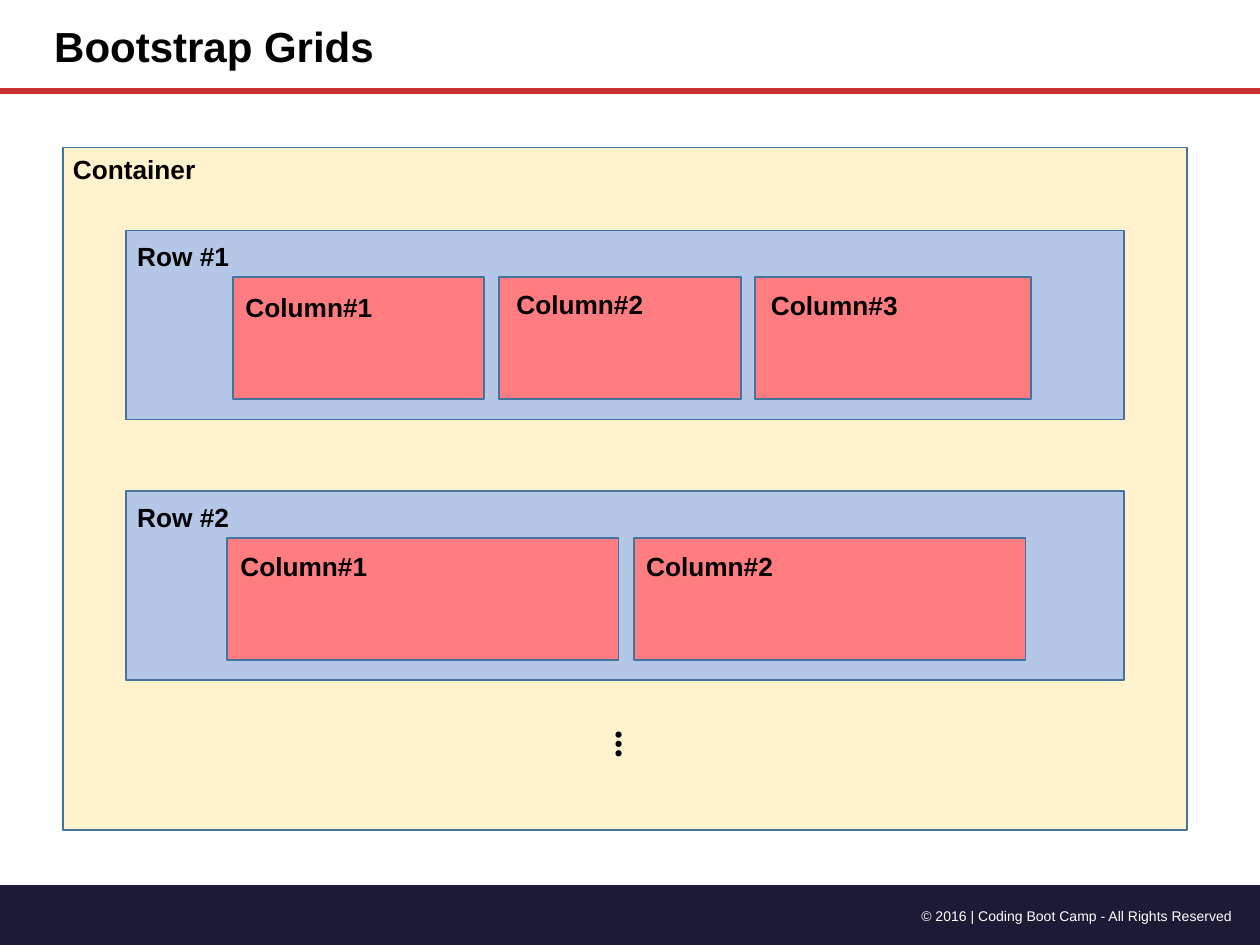
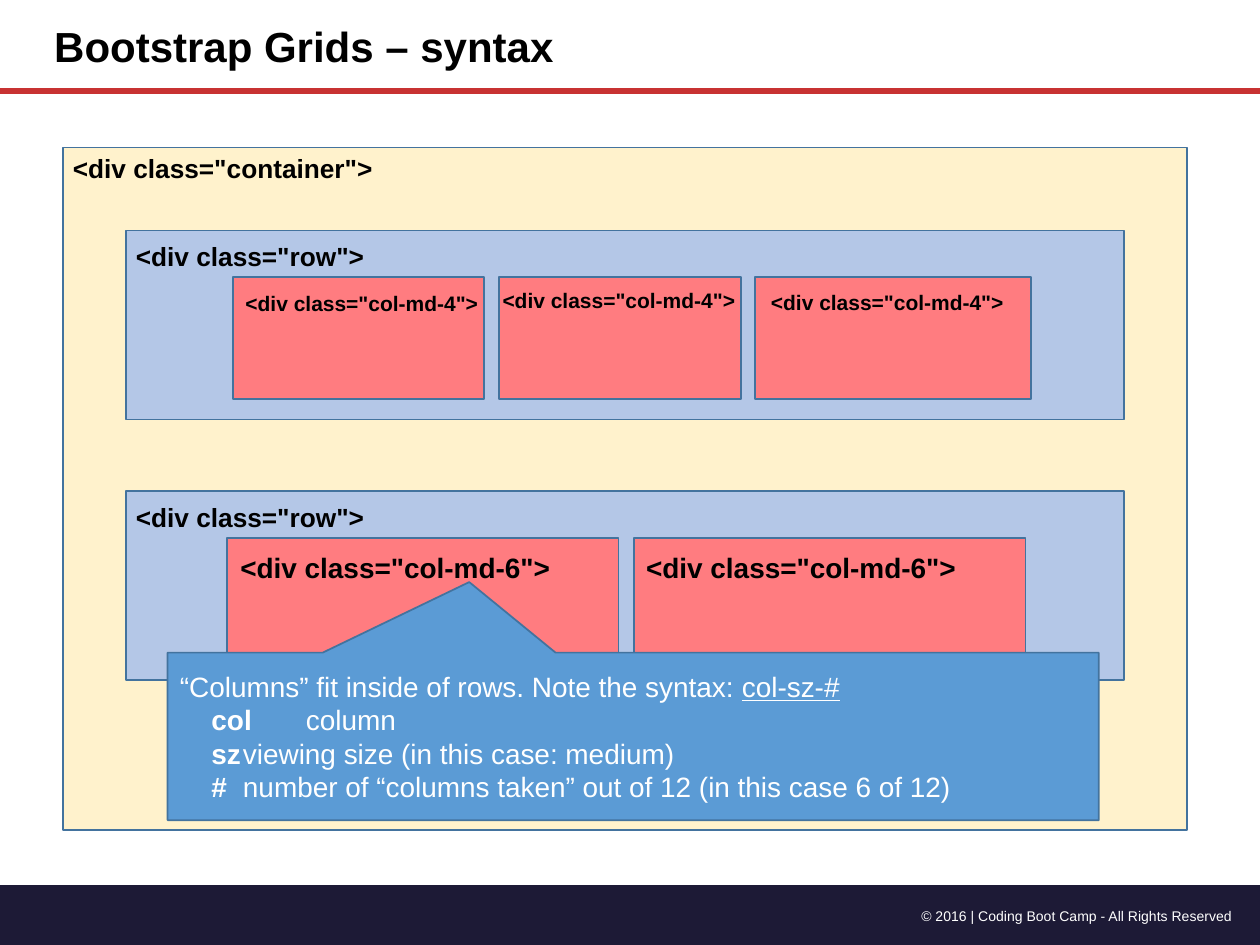
import pptx
import pptx.util
import pptx.dml.color
import pptx.enum.shapes
import pptx.enum.text
from lxml import etree

inch = pptx.util.Inches
KIND = pptx.enum.shapes.MSO_SHAPE
ALIGN = pptx.enum.text.PP_ALIGN
ANCHOR = pptx.enum.text.MSO_ANCHOR

WIDE, HIGH = 10, 7.5
BLACK, WHITE, NAVY, RED = "000000", "FFFFFF", "1D1A36", "C83232"
CREAM, BLUE, PINK, SKY, EDGE = "FFF2CC", "B4C7E7", "FF7C80", "5B9BD5", "43739E"
FOOTER = "© 2016 | Coding Boot Camp - All Rights Reserved"

# Nested boxes: the container, then each row's top and its columns (left, width)
FRAME = (0.5, 1.17, 8.92, 5.42)
ROW_LEFT, ROW_WIDE, ROW_HIGH = 1, 7.92, 1.5
COL_DROP, COL_HIGH = 0.37, 0.97
ROWS = [
    (1.83, [(1.85, 1.99), (3.96, 1.92), (5.99, 2.19)]),
    (3.9, [(1.8, 3.11), (5.03, 3.11)]),
]

# Labels: text, left, top, width, size
SLIDES = [
    ("Bootstrap Grids", [
        ("Container", 0.48, 1.17, 5.58, 15),
        ("Row #1", 0.99, 1.86, 5.58, 15),
        ("Column#1", 1.85, 2.26, 1.24, 15),
        ("Column#2", 4, 2.24, 1.24, 15),
        ("Column#3", 6.02, 2.25, 1.24, 15),
        ("Row #2", 0.99, 3.93, 5.58, 15),
        ("Column#1", 1.81, 4.32, 1.24, 15),
        ("Column#2", 5.03, 4.32, 1.24, 15),
    ]),
    ("Bootstrap Grids – syntax", [
        ('<div class="container">', 0.48, 1.16, 5.58, 15),
        ('<div class="row">', 0.98, 1.86, 5.58, 15),
        ('<div class="col-md-4">', 1.85, 2.26, 2.93, 12),
        ('<div class="col-md-4">', 3.89, 2.23, 2.87, 12),
        ('<div class="col-md-4">', 6.02, 2.25, 3.35, 12),
        ('<div class="row">', 0.98, 3.93, 5.58, 15),
        ('<div class="col-md-6">', 1.81, 4.32, 3.47, 16),
        ('<div class="col-md-6">', 5.03, 4.32, 3.22, 16),
    ]),
]
NOTE = ("“Columns” fit inside of rows. Note the syntax: ", "col-sz-#")
TERMS = [
    ("col", "column"),
    ("sz", "viewing size (in this case: medium)"),
    ("#", "number of “columns taken” out of 12 (in this case 6 of 12)"),
]


def rgb(code):
    return pptx.dml.color.RGBColor.from_string(code)


def style(font, size, color=BLACK, bold=False, face="Arial"):
    font.name, font.size, font.bold = face, pptx.util.Pt(size), bold
    font.color.rgb = rgb(color)


def box(slide, area, fill, edge=EDGE, kind=KIND.RECTANGLE):
    shape = slide.shapes.add_shape(kind, *map(inch, area))
    shape.shadow.inherit = False
    shape.fill.solid()
    shape.fill.fore_color.rgb = rgb(fill)
    if edge:
        shape.line.color.rgb = rgb(edge)
        shape.line.width = pptx.util.Pt(1)
    else:
        shape.line.fill.background()
    return shape


def label(slide, text, area, size, wrap=True, **look):
    shape = slide.shapes.add_textbox(*map(inch, area))
    shape.text_frame.text = text
    shape.text_frame.word_wrap = wrap
    style(shape.text_frame.paragraphs[0].runs[0].font, size, **look)
    return shape


def base(slide, title):
    """Draw the footer band, the red rule and the title."""
    box(slide, (0, 7.02, WIDE, HIGH - 7.02), NAVY, None, KIND.FLOWCHART_PROCESS)
    foot = label(slide, FOOTER, (6.83, 7.15, 3.05, 0.24), 8, color=WHITE)
    foot.text_frame.paragraphs[0].alignment = ALIGN.RIGHT
    rule = slide.shapes.add_connector(
        pptx.enum.shapes.MSO_CONNECTOR.STRAIGHT,
        0, inch(0.72), inch(WIDE), inch(0.72))
    rule.line.color.rgb = rgb(RED)
    rule.line.width = pptx.util.Pt(3.25)
    etree.SubElement(rule._element.spPr, pptx.oxml.ns.qn("a:effectLst"))

    head = slide.shapes.title
    head.left, head.top, head.width, head.height = map(inch, (0.33, 0.11, 5.58, 0.5))
    frame = head.text_frame
    frame.text = title
    frame.auto_size = pptx.enum.text.MSO_AUTO_SIZE.NONE
    frame.vertical_anchor = ANCHOR.TOP
    frame.paragraphs[0].alignment = ALIGN.LEFT
    style(frame.paragraphs[0].runs[0].font, 24, bold=True)


def grid(slide, labels):
    box(slide, FRAME, CREAM)
    for top, cols in ROWS:
        box(slide, (ROW_LEFT, top, ROW_WIDE, ROW_HIGH), BLUE)
        for left, width in cols:
            box(slide, (left, top + COL_DROP, width, COL_HIGH), PINK)
    for text, left, top, width, size in labels:
        label(slide, text, (left, top, width, size / 60 + 0.1), size, bold=True)
    dots = label(slide, "…", (4.8, 5.66, 0.44, 0.5), 24, wrap=False,
                 bold=True, face="Calibri")
    dots.rotation = 90


def add(para, text, bold=False):
    run = para.add_run()
    run.text = text
    style(run.font, 16, WHITE, bold)
    return run


def callout(slide):
    shape = box(slide, (1.33, 5.18, 7.39, 1.33), SKY,
                kind=KIND.RECTANGULAR_CALLOUT)
    shape.adjustments[0], shape.adjustments[1] = -0.176, -0.921
    frame = shape.text_frame
    frame.word_wrap = True
    frame.vertical_anchor = ANCHOR.MIDDLE
    para = frame.paragraphs[0]
    para.alignment = ALIGN.LEFT
    add(para, NOTE[0])
    add(para, NOTE[1]).font.underline = True
    for term, sense in TERMS:
        para = frame.add_paragraph()
        para.alignment = ALIGN.LEFT
        para._p.get_or_add_pPr().set("indent", str(inch(0.25)))
        add(para, term, True)
        add(para, "\t" + sense)


def main():
    deck = pptx.Presentation()
    deck.slide_width, deck.slide_height = inch(WIDE), inch(HIGH)
    for title, labels in SLIDES:
        slide = deck.slides.add_slide(deck.slide_layouts[5])
        base(slide, title)
        grid(slide, labels)
    callout(slide)
    deck.save("out.pptx")


if __name__ == "__main__":
    main()
